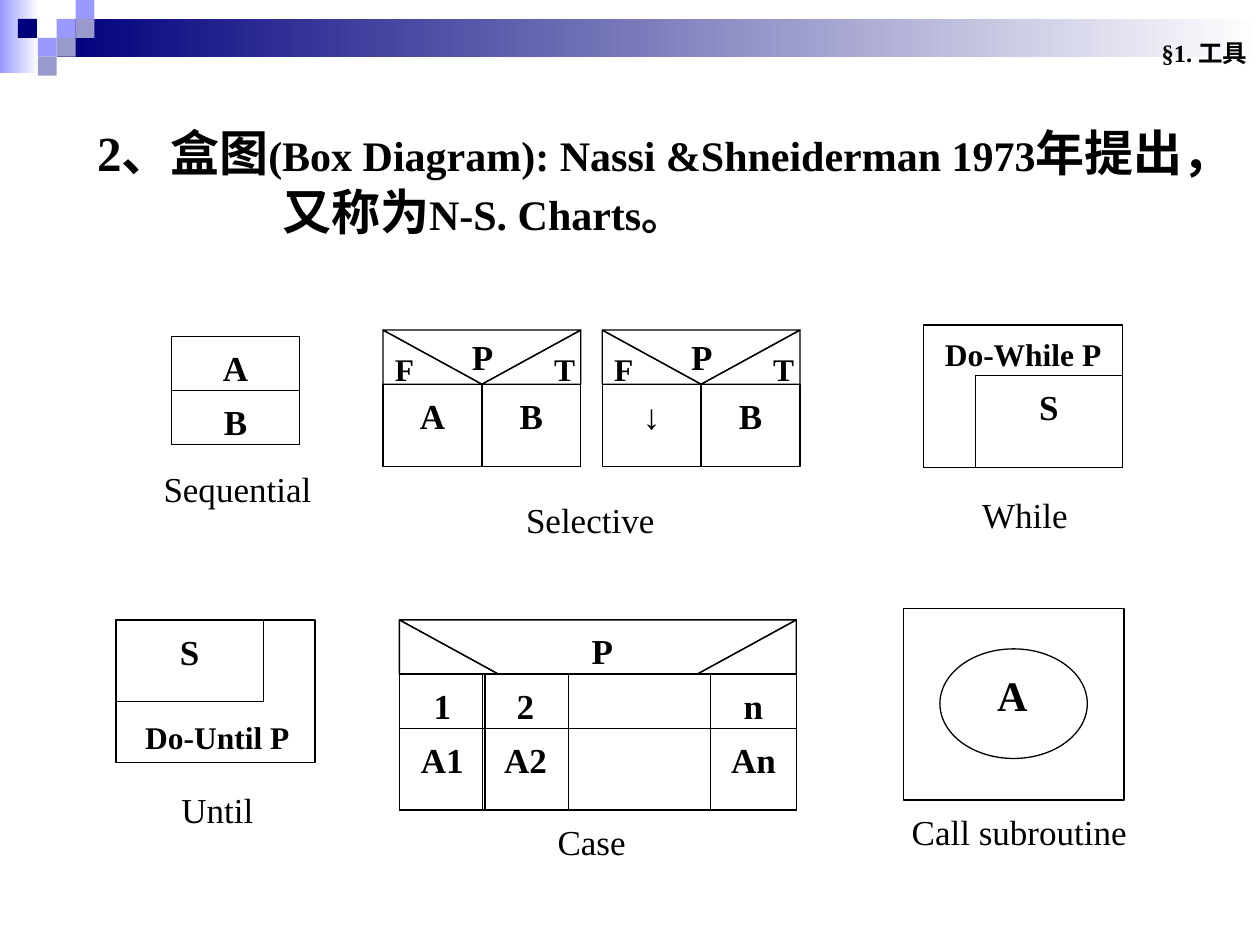
"""Builds a slide of Nassi-Shneiderman box diagrams."""
from dataclasses import dataclass

from pptx import Presentation
from pptx.dml.color import RGBColor
from pptx.enum.shapes import MSO_SHAPE
from pptx.enum.text import MSO_ANCHOR, MSO_AUTO_SIZE, PP_ALIGN
from pptx.util import Inches, Pt

SERIF = "Times New Roman"
BLACK, NAVY, WHITE = "000000", "00007D", "FFFFFF"
LILAC, GREY_LILAC = "9999FF", "9999CC"
ROW = 0.43
HALF = 0.785
CASE_LEFT, CASE_TOP, CASE_WIDTH = 3.17, 4.92, 3.15


@dataclass(frozen=True)
class Area:
    left: float
    top: float
    width: float
    height: float

    def lengths(self):
        return [Inches(value) for value in (self.left, self.top, self.width, self.height)]


@dataclass(frozen=True)
class Node:
    area: Area
    text: str = ""
    size: int = 20
    font: str = SERIF
    kind: MSO_SHAPE = MSO_SHAPE.RECTANGLE
    flip: str = ""


@dataclass(frozen=True)
class Label:
    area: Area
    text: str
    size: int = 20
    bold: bool = True


def rgb(value: str) -> RGBColor:
    return RGBColor.from_string(value)


def style_span(span, size: int, bold: bool, font: str = SERIF) -> None:
    span.font.name = font
    span.font.size = Pt(size)
    span.font.bold = bold
    span.font.color.rgb = rgb(BLACK)


def set_margins(frame, left: float, top: float, right: float, bottom: float) -> None:
    frame.margin_left, frame.margin_top = Inches(left), Inches(top)
    frame.margin_right, frame.margin_bottom = Inches(right), Inches(bottom)


def write_centred(frame, text: str, size: int, bold: bool, font: str = SERIF) -> None:
    set_margins(frame, 0.02, 0.08, 0.02, 0.01)
    frame.word_wrap = True
    frame.vertical_anchor = MSO_ANCHOR.TOP
    para = frame.paragraphs[0]
    para.text = text
    para.alignment = PP_ALIGN.CENTER
    style_span(para.runs[0], size, bold, font)


def outline(shape) -> None:
    shape.shadow.inherit = False
    shape.fill.background()
    shape.line.color.rgb = rgb(BLACK)
    shape.line.width = Pt(0.75)


def draw_node(page, node: Node) -> None:
    shape = page.shapes.add_shape(node.kind, *node.area.lengths())
    outline(shape)
    if node.flip:
        shape.element.spPr.xfrm.set(node.flip, "1")
    if node.text:
        write_centred(shape.text_frame, node.text, node.size, True, node.font)


def draw_label(page, label: Label) -> None:
    box = page.shapes.add_textbox(*label.area.lengths())
    write_centred(box.text_frame, label.text, label.size, label.bold)


def draw_caption(page, left: float, top: float, text: str, width: float = 1.61) -> None:
    draw_label(page, Label(Area(left, top, width, ROW), text, bold=False))


def draw_banner(page) -> None:
    for area, start in ((Area(0, 0, 0.31, 0.58), LILAC), (Area(0.45, 0.15, 9.55, 0.3), NAVY)):
        band = page.shapes.add_shape(MSO_SHAPE.RECTANGLE, *area.lengths())
        band.shadow.inherit = False
        band.line.fill.background()
        band.fill.gradient()
        band.fill.gradient_angle = 0
        for stop, colour, position in zip(band.fill.gradient_stops, (start, WHITE), (0, 1)):
            stop.color.rgb = rgb(colour)
            stop.position = position
    tiles = ((3, 1, LILAC), (4, 0, LILAC), (4, 1, GREY_LILAC), (2, 2, LILAC),
             (0.95, 1, NAVY), (3, 2, GREY_LILAC), (2, 3, GREY_LILAC))
    side = 0.15
    for column, row, colour in tiles:
        area = Area(column * side, row * side, side, side)
        tile = page.shapes.add_shape(MSO_SHAPE.RECTANGLE, *area.lengths())
        tile.shadow.inherit = False
        tile.line.fill.background()
        tile.fill.solid()
        tile.fill.fore_color.rgb = rgb(colour)


def draw_heading(page) -> None:
    title = page.shapes.title
    title.left, title.top, title.width, title.height = Area(0.67, 0.92, 9.08, 1.04).lengths()
    frame = title.text_frame
    set_margins(frame, 0.1, 0.05, 0.1, 0.05)
    frame.word_wrap = True
    frame.auto_size = MSO_AUTO_SIZE.NONE
    frame.vertical_anchor = MSO_ANCHOR.TOP
    para = frame.paragraphs[0]
    para.alignment = PP_ALIGN.LEFT
    properties = para._p.get_or_add_pPr()
    properties.set("marL", str(Inches(1.47)))
    properties.set("indent", str(-Inches(1.47)))
    for text, size in (("2、盒图", 28), ("(Box Diagram): Nassi &Shneiderman 1973", 24),
                       ("年提出，又称为", 28), ("N-S. Charts。", 24)):
        span = para.add_run()
        span.text = text
        style_span(span, size, True)


def draw_section(page) -> None:
    box = page.shapes.add_textbox(*Area(8.33, 0.25, 1.67, 0.33).lengths())
    frame = box.text_frame
    frame.word_wrap = True
    frame.vertical_anchor = MSO_ANCHOR.MIDDLE
    para = frame.paragraphs[0]
    para.text = "§1. 工具"
    para.alignment = PP_ALIGN.RIGHT
    style_span(para.runs[0], 14, True)


def draw_corners(page, left: float, right: float, top: float) -> None:
    for start, flip in ((left, ""), (right - HALF, "flipH")):
        draw_node(page, Node(Area(start, top, HALF, ROW), kind=MSO_SHAPE.RIGHT_TRIANGLE, flip=flip))


def draw_sequence(page) -> None:
    for index, text in enumerate("AB"):
        draw_node(page, Node(Area(1.36, 2.67 + index * ROW, 1.02, ROW), text))
    draw_caption(page, 1.08, 3.63, "Sequential")


def draw_selection(page, left: float, branch: str, font: str) -> None:
    top, middle = 2.62, left + HALF
    draw_node(page, Node(Area(left, top, 2 * HALF, ROW),
                         kind=MSO_SHAPE.ISOSCELES_TRIANGLE, flip="flipV"))
    draw_corners(page, left, left + 2 * HALF, top)
    for offset, label_top, text, size in ((0.58, 2.58, "P", 20), (-0.04, 2.7, "F", 18),
                                          (1.23, 2.7, "T", 18)):
        draw_label(page, Label(Area(left + offset, label_top, 0.42, 0.47), text, size))
    draw_node(page, Node(Area(left, top + ROW, HALF, 0.65), branch, font=font))
    draw_node(page, Node(Area(middle, top + ROW, HALF, 0.65), "B"))


def draw_loops(page) -> None:
    for frame, body, condition in (
        (Area(7.33, 2.58, 1.58, 1.13), Area(7.74, 2.98, 1.17, 0.73),
         Label(Area(7.33, 2.58, 1.58, ROW), "Do-While P", 18)),
        (Area(0.92, 4.92, 1.58, 1.13), Area(0.92, 4.92, 1.17, 0.65),
         Label(Area(0.92, 5.62, 1.61, ROW), "Do-Until P", 18)),
    ):
        draw_node(page, Node(frame))
        draw_label(page, condition)
        draw_node(page, Node(body, "S"))
    draw_caption(page, 7.33, 3.84, "While")
    draw_caption(page, 0.92, 6.18, "Until")


def draw_case(page) -> None:
    right, bottom = CASE_LEFT + CASE_WIDTH, CASE_TOP + ROW
    builder = page.shapes.build_freeform(Inches(CASE_LEFT), Inches(CASE_TOP), scale=1.0)
    corners = ((CASE_LEFT + HALF, bottom), (right - HALF, bottom), (right, CASE_TOP))
    builder.add_line_segments([(Inches(x), Inches(y)) for x, y in corners], close=True)
    outline(builder.convert_to_shape())
    draw_corners(page, CASE_LEFT, right, CASE_TOP)
    draw_label(page, Label(Area(4.57, CASE_TOP, 0.42, 0.47), "P"))
    for top, height, texts in ((bottom, ROW, ("1", "2", "n")),
                               (bottom + ROW, 0.65, ("A1", "A2", "An"))):
        draw_node(page, Node(Area(CASE_LEFT, top, CASE_WIDTH, height)))
        for left, text in zip((CASE_LEFT, 3.83, 5.64), texts):
            draw_node(page, Node(Area(left, top, 0.68, height), text))
    draw_caption(page, 3.89, 6.43, "Case")


def draw_call(page) -> None:
    draw_node(page, Node(Area(7.17, 4.83, 1.75, 1.52)))
    draw_node(page, Node(Area(7.46, 5.15, 1.17, 0.87), kind=MSO_SHAPE.OVAL))
    draw_label(page, Label(Area(7.65, 5.23, 0.77, 0.54), "A", 24))
    draw_caption(page, 7.17, 6.35, "Call subroutine", 1.84)


def main() -> None:
    deck = Presentation()
    deck.slide_width, deck.slide_height = Inches(10), Inches(7.5)
    page = deck.slides.add_slide(deck.slide_layouts[5])
    for draw in (draw_banner, draw_heading, draw_section, draw_sequence):
        draw(page)
    draw_selection(page, 3.04, "A", SERIF)
    draw_selection(page, 4.78, "↓", "Arial")
    draw_caption(page, 3.88, 3.88, "Selective")
    for draw in (draw_loops, draw_case, draw_call):
        draw(page)
    deck.save("out.pptx")


if __name__ == "__main__":
    main()
